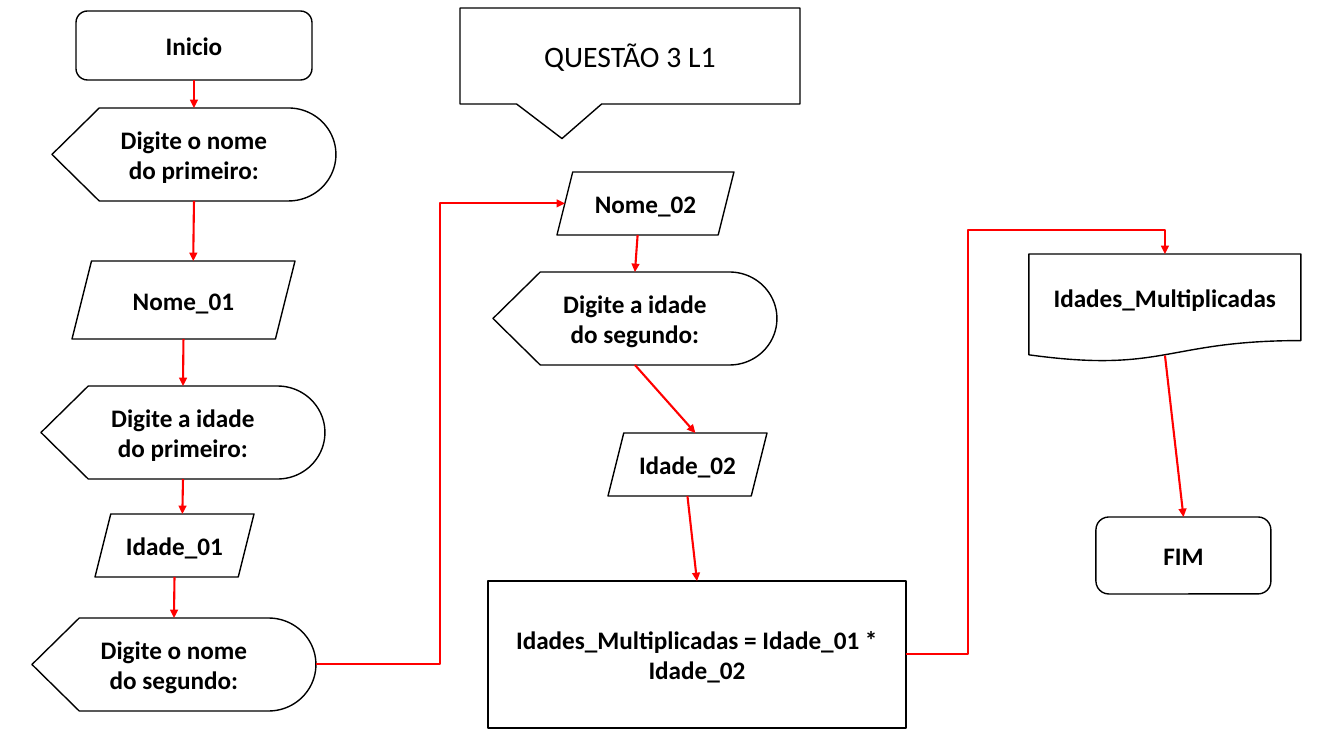
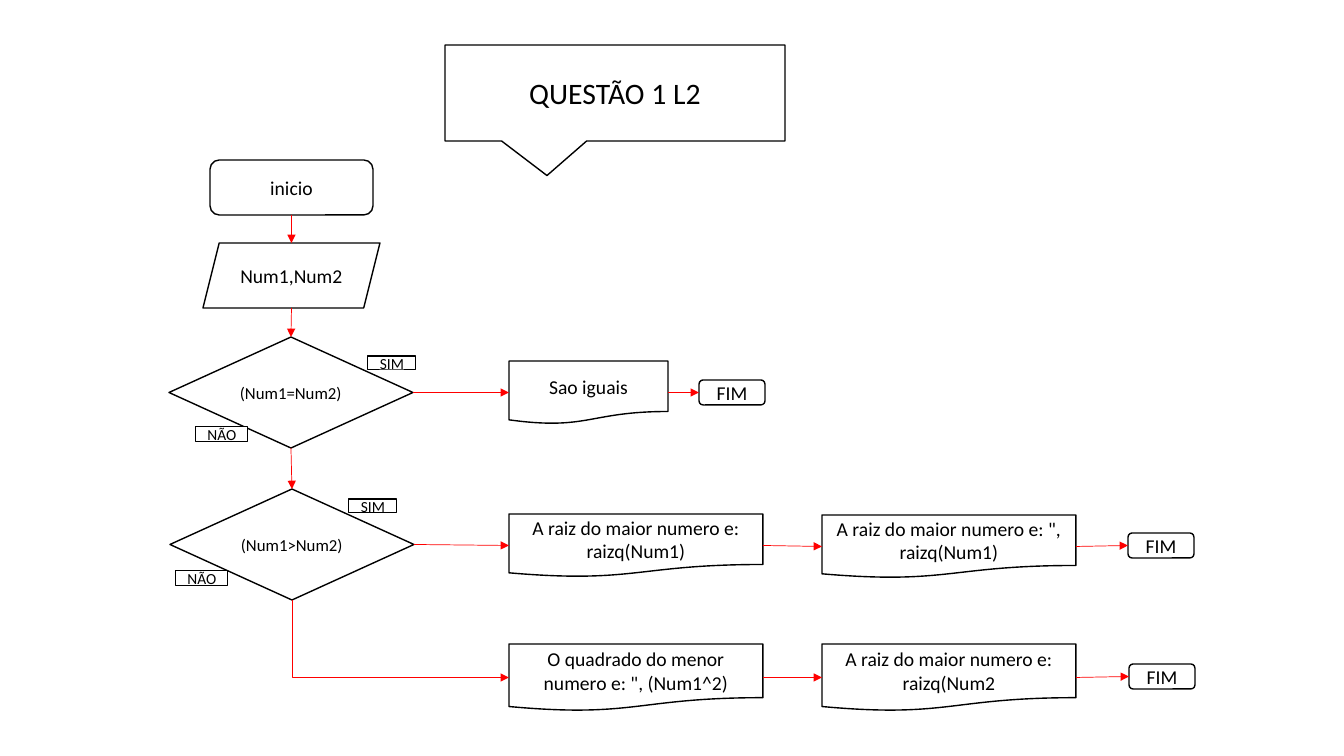
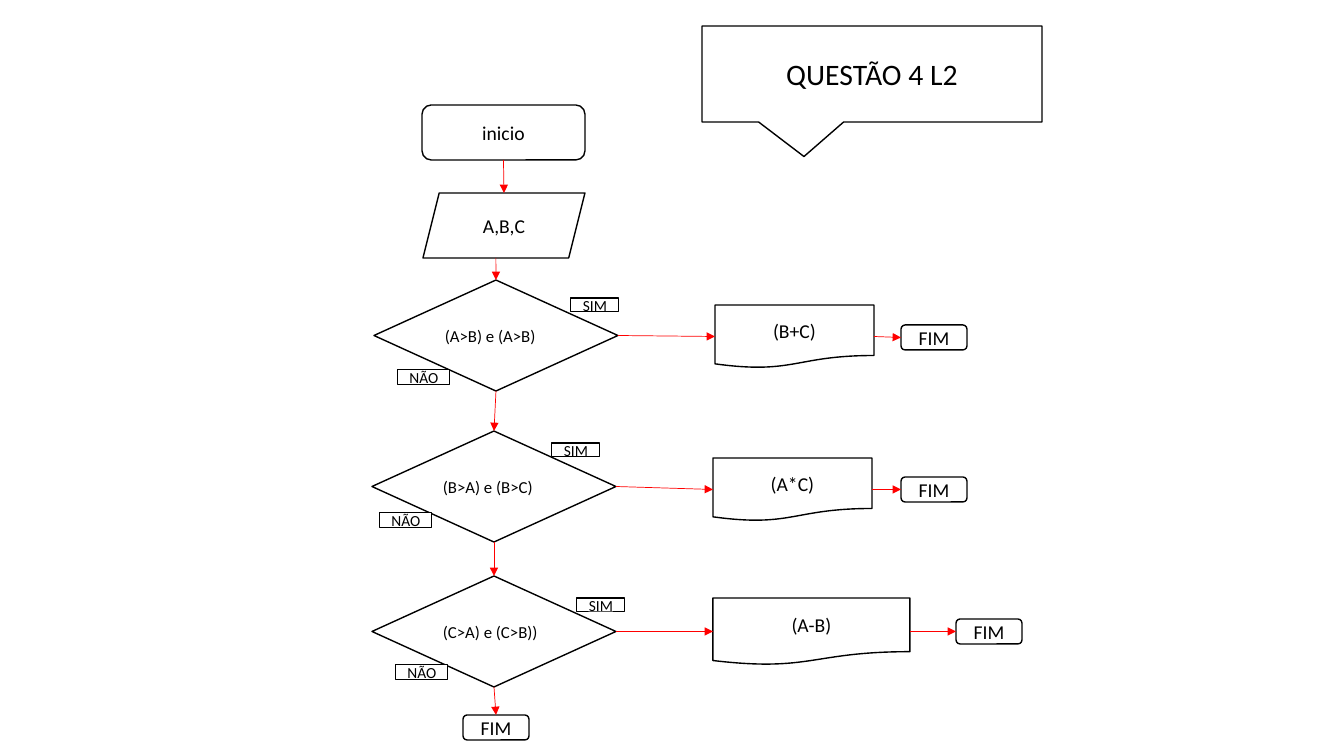
import pptx
import pptx.dml.color
import pptx.enum.shapes
import pptx.enum.text
import pptx.oxml
import pptx.oxml.ns
import pptx.util

EMU_PER_PIXEL = 914400 / 100.8
BLACK = pptx.dml.color.RGBColor(0x00, 0x00, 0x00)
WHITE = pptx.dml.color.RGBColor(0xFF, 0xFF, 0xFF)
RED = pptx.dml.color.RGBColor(0xFF, 0x00, 0x00)
FONT = "Calibri"
THICK, THIN = 1.5, 0.5

KINDS = pptx.enum.shapes.MSO_SHAPE
CONNECTORS = pptx.enum.shapes.MSO_CONNECTOR
ALIGN = pptx.enum.text.PP_ALIGN

PROMPT_SIZE = (284, 93)
DATA_SIZE = (159, 63)
START_SIZE = (163, 55)
DECISION_SIZE = (244, 111)
END_SIZE = (66, 25)
YES_SIZE = (48, 14)
NO_SIZE = (52, 15)

# Share of width, share of height, sideways shift as a share of height.
# The "edge" sites are the middles of a parallelogram's slanted outline.
SITES = {
    "top": (0.5, 0, 0),
    "left": (0, 0.5, 0),
    "bottom": (0.5, 1, 0),
    "right": (1, 0.5, 0),
    "top edge": (0.5, 0, 0.125),
    "left edge": (0, 0.5, 0.125),
    "bottom edge": (0.5, 1, -0.125),
    "wave": (0.5, 0.94, 0),
}


def emu(pixels):
    """Turn pixels into EMU."""
    return pptx.util.Emu(round(pixels * EMU_PER_PIXEL))


def add_box(slide, kind, position, size, text, points=14, bold=False,
            align=ALIGN.CENTER, outline=1):
    """Add a white outlined flowchart shape with its text."""
    shape = slide.shapes.add_shape(kind, *map(emu, position + size))
    shape.shadow.inherit = False
    shape.fill.solid()
    shape.fill.fore_color.rgb = WHITE
    shape.line.color.rgb = BLACK
    shape.line.width = pptx.util.Pt(outline)
    frame = shape.text_frame
    frame.word_wrap = True
    frame.vertical_anchor = pptx.enum.text.MSO_ANCHOR.MIDDLE
    paragraph = frame.paragraphs[0]
    paragraph.alignment = align
    run = paragraph.add_run()
    run.text = text
    run.font.name = FONT
    run.font.size = pptx.util.Pt(points)
    run.font.bold = bold
    run.font.color.rgb = BLACK
    return shape


def add_title(slide, position, text):
    """Add the callout that names the question."""
    callout = add_box(slide, KINDS.RECTANGULAR_CALLOUT, position, (340, 96),
                      text, points=21.2)
    callout.adjustments[0] = -0.2
    callout.adjustments[1] = 0.86


def add_bold(slide, kind, position, size, text):
    """Add a shape with large bold text."""
    return add_box(slide, kind, position, size, text, points=18, bold=True)


def add_prompt(slide, position, text):
    """Add a display shape that asks for a value."""
    return add_bold(slide, KINDS.FLOWCHART_DISPLAY, position, PROMPT_SIZE, text)


def add_start(slide, position):
    """Add the small start shape."""
    return add_box(slide, KINDS.ROUNDED_RECTANGLE, position, START_SIZE, "inicio")


def add_end(slide, position):
    """Add the small end shape."""
    return add_box(slide, KINDS.ROUNDED_RECTANGLE, position, END_SIZE, "FIM")


def add_output(slide, position, size, text):
    """Add a document shape that shows a result."""
    return add_box(slide, KINDS.FLOWCHART_DOCUMENT, position, size, text)


def add_decision(slide, position, text, yes, no):
    """Add a diamond with its yes and no tags."""
    diamond = add_box(slide, KINDS.DIAMOND, position, DECISION_SIZE, text,
                      points=12, align=ALIGN.LEFT)
    for place, size, word in ((yes, YES_SIZE, "SIM"), (no, NO_SIZE, "NÃO")):
        add_box(slide, KINDS.RECTANGLE, place, size, word, points=11, outline=0.75)
    return diamond


def site_point(shape, site):
    """Return the EMU point of a named site on a shape."""
    across, down, shift = SITES[site]
    return (round(shape.left + across * shape.width + shift * shape.height),
            round(shape.top + down * shape.height))


def style_arrow(connector, width, arrow="a:tailEnd"):
    """Make a connector red, flat and arrowed."""
    connector.line.color.rgb = RED
    connector.line.width = pptx.util.Pt(width)
    tip = pptx.oxml.parse_xml(
        f'<{arrow} {pptx.oxml.ns.nsdecls("a")} type="triangle"/>')
    connector.line._get_or_add_ln().append(tip)
    connector._element.spPr.append(pptx.oxml.parse_xml(
        f'<a:effectLst {pptx.oxml.ns.nsdecls("a")}/>'))


def add_arrow(slide, source, target, width, leave="bottom", enter="top"):
    """Add a straight arrow between two shapes."""
    connector = slide.shapes.add_connector(
        CONNECTORS.STRAIGHT, *site_point(source, leave), *site_point(target, enter))
    style_arrow(connector, width)


def add_row(slide, shapes):
    """Link shapes from left to right with thin arrows."""
    for source, target in zip(shapes, shapes[1:]):
        add_arrow(slide, source, target, THIN, "right", "left")


def add_elbow(slide, begin, end, width, preset="bentConnector3", bends=(),
              arrow="a:tailEnd"):
    """Add a bent arrow; begin and end are (shape, site, glue index)."""
    connector = slide.shapes.add_connector(CONNECTORS.ELBOW, 0, 0, 0, 0)
    connector.begin_connect(begin[0], begin[2])
    connector.end_connect(end[0], end[2])
    connector.begin_x, connector.begin_y = site_point(*begin[:2])
    connector.end_x, connector.end_y = site_point(*end[:2])
    geometry = connector._element.spPr.find(pptx.oxml.ns.qn("a:prstGeom"))
    geometry.set("prst", preset)
    guides = geometry.find(pptx.oxml.ns.qn("a:avLst"))
    for number, bend in enumerate(bends, 1):
        guides.append(pptx.oxml.parse_xml(
            f'<a:gd {pptx.oxml.ns.nsdecls("a")} name="adj{number}" '
            f'fmla="val {round(bend * 100000)}"/>'))
    style_arrow(connector, width, arrow)


def build_ages(slide):
    """Flowchart that multiplies two ages."""
    add_title(slide, (460, 8), "QUESTÃO 3 L1")
    start = add_bold(slide, KINDS.ROUNDED_RECTANGLE, (76, 11), (236, 69), "Inicio")
    ask_name1 = add_prompt(slide, (52, 108), "Digite o nome do primeiro:")
    name1 = add_bold(slide, KINDS.PARALLELOGRAM, (72, 261), (223, 78), "Nome_01")
    ask_age1 = add_prompt(slide, (41, 386), "Digite a idade do primeiro:")
    age1 = add_bold(slide, KINDS.PARALLELOGRAM, (95, 514), DATA_SIZE, "Idade_01")
    ask_name2 = add_prompt(slide, (32, 618), "Digite o nome do segundo:")
    name2 = add_bold(slide, KINDS.PARALLELOGRAM, (557, 172), (177, 63), "Nome_02")
    ask_age2 = add_prompt(slide, (493, 272), "Digite a idade do segundo:")
    age2 = add_bold(slide, KINDS.PARALLELOGRAM, (608, 433), DATA_SIZE, "Idade_02")
    product = add_bold(slide, KINDS.FLOWCHART_PROCESS, (488, 581), (418, 147),
                       "Idades_Multiplicadas = Idade_01 * Idade_02")
    result = add_bold(slide, KINDS.FLOWCHART_DOCUMENT, (1029, 254), (272, 108),
                      "Idades_Multiplicadas")
    end = add_bold(slide, KINDS.ROUNDED_RECTANGLE, (1096, 517), (175, 77), "FIM")

    for source, leave, target, enter in (
        (start, "bottom", ask_name1, "top"),
        (ask_name1, "bottom", name1, "top edge"),
        (name1, "bottom", ask_age1, "top"),
        (ask_age1, "bottom", age1, "top edge"),
        (age1, "bottom", ask_name2, "top"),
        (name2, "bottom edge", ask_age2, "top"),
        (ask_age2, "bottom", age2, "top edge"),
        (age2, "bottom", product, "top"),
        (result, "wave", end, "top"),
    ):
        add_arrow(slide, source, target, THICK, leave, enter)
    add_elbow(slide, (ask_name2, "right", 3), (name2, "left edge", 2), THICK)
    add_elbow(slide, (product, "right", 3), (result, "top", 0), THICK,
              "bentConnector4", (0.24, 1.06))


def build_numbers(slide):
    """Flowchart that compares two numbers."""
    add_title(slide, (445, 45), "QUESTÃO 1 L2")
    start = add_start(slide, (210, 160))
    numbers = add_box(slide, KINDS.PARALLELOGRAM, (203, 243), (177, 65), "Num1,Num2")
    equal = add_decision(slide, (169, 337), "(Num1=Num2)", (368, 356), (196, 427))
    greater = add_decision(slide, (170, 489), "(Num1>Num2)", (349, 499), (176, 571))
    same = add_output(slide, (509, 361), DATA_SIZE, "Sao iguais")
    root = add_output(slide, (509, 514), (254, 63),
                      "A raiz do maior numero e: raizq(Num1)")
    root_again = add_output(slide, (822, 515), (254, 63),
                            'A raiz do maior numero e: ", raizq(Num1)')
    square = add_output(slide, (509, 644), (254, 67),
                        'O quadrado do menor numero e: ", (Num1^2)')
    other_root = add_output(slide, (822, 644), (254, 67),
                            "A raiz do maior numero e: raizq(Num2")
    steps = (start, numbers, equal, greater)
    for source, target in zip(steps, steps[1:]):
        add_arrow(slide, source, target, THIN)
    add_row(slide, (equal, same, add_end(slide, (699, 380))))
    add_row(slide, (greater, root, root_again, add_end(slide, (1128, 533))))
    add_row(slide, (square, other_root, add_end(slide, (1129, 664))))
    add_elbow(slide, (square, "left", 1), (greater, "bottom", 2), THIN,
              "bentConnector2", arrow="a:headEnd")


def build_letters(slide):
    """Flowchart that finds the largest of three values."""
    add_title(slide, (702, 26), "QUESTÃO 4 L2")
    start = add_start(slide, (422, 105))
    letters = add_box(slide, KINDS.PARALLELOGRAM, (423, 193), (162, 65), "A,B,C")
    add_arrow(slide, start, letters, THIN)
    previous, leave = letters, "bottom edge"
    for place, test, yes, no, output_place, output_size, output, end_place in (
        ((374, 280), "(A>B) e (A>B)", (571, 298), (398, 370),
         (715, 305), DATA_SIZE, "(B+C)", (901, 325)),
        ((372, 431), "(B>A) e (B>C)", (552, 443), (380, 513),
         (713, 458), DATA_SIZE, "(A*C)", (901, 477)),
        ((372, 576), "(C>A) e (C>B))", (577, 598), (396, 665),
         (713, 598), (197, 67), "(A-B)", (956, 619)),
    ):
        decision = add_decision(slide, place, test, yes, no)
        result = add_output(slide, output_place, output_size, output)
        add_row(slide, (decision, result, add_end(slide, end_place)))
        add_arrow(slide, previous, decision, THIN, leave)
        previous, leave = decision, "bottom"
    add_arrow(slide, previous, add_end(slide, (463, 715)), THIN)


def main():
    """Build the three flowchart slides."""
    presentation = pptx.Presentation()
    presentation.slide_width = emu(1344)
    presentation.slide_height = emu(756)
    blank = presentation.slide_layouts[6]
    for build in (build_ages, build_numbers, build_letters):
        build(presentation.slides.add_slide(blank))
    presentation.save("out.pptx")


main()
